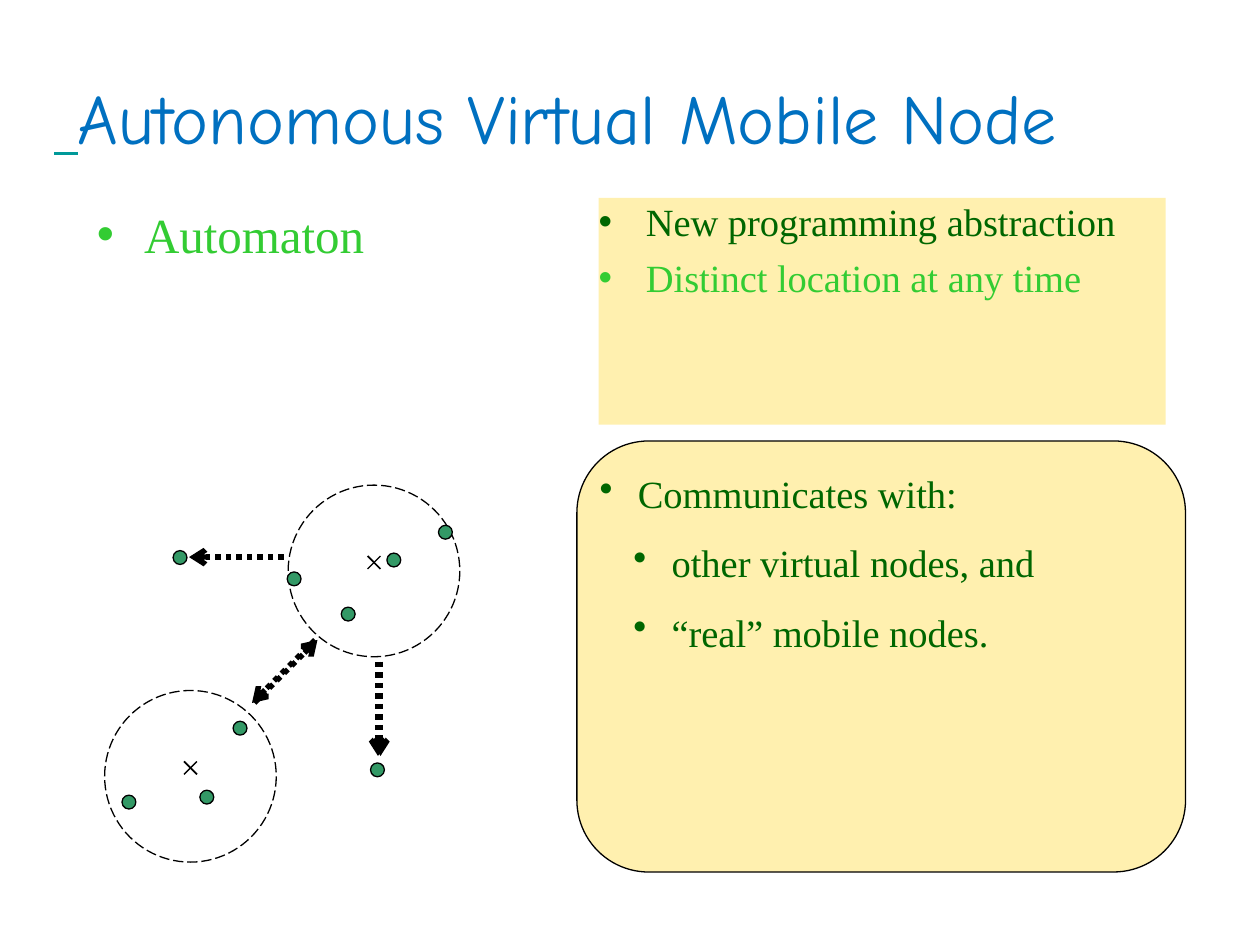
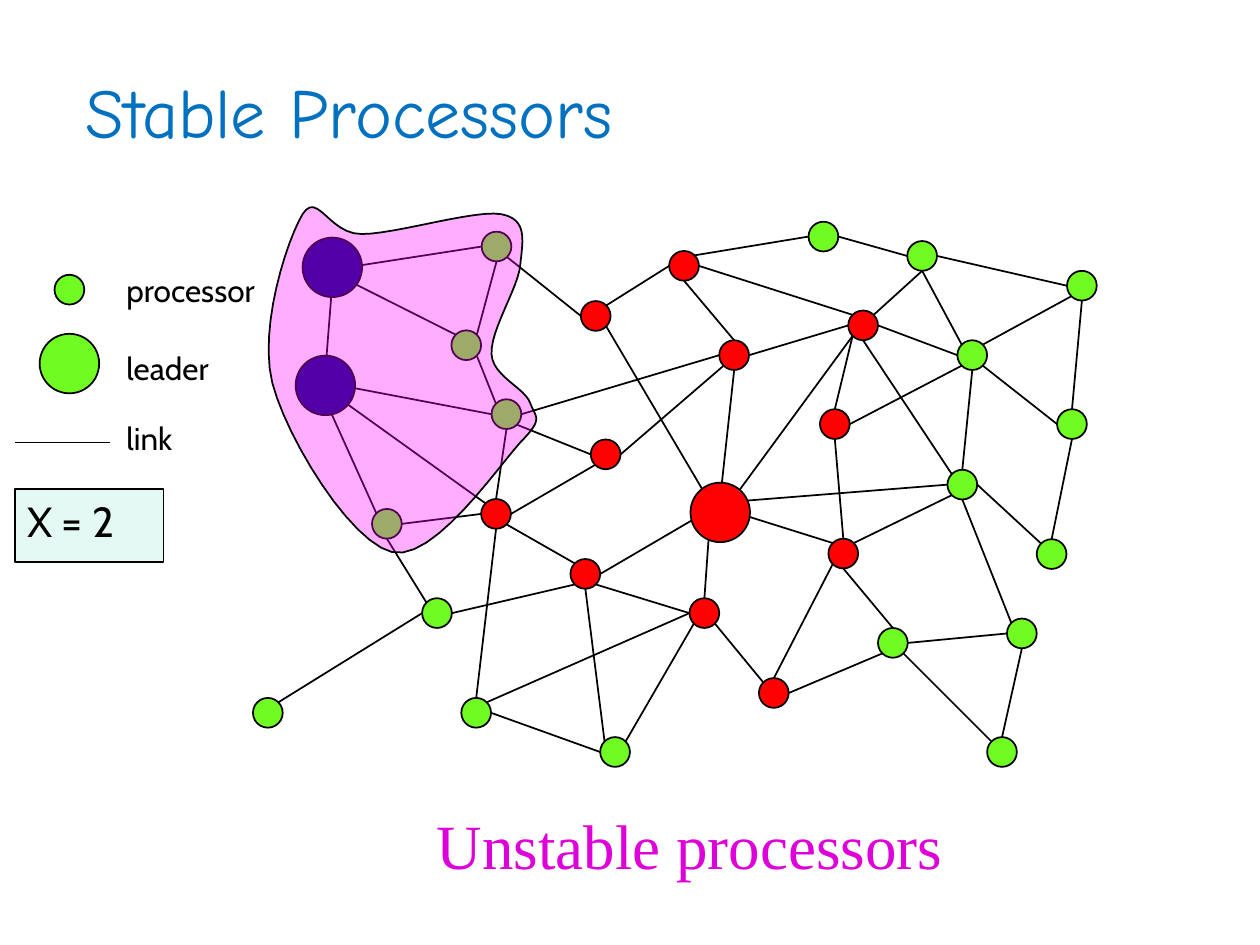
import math

import pptx
import pptx.dml.color
import pptx.enum.dml
import pptx.enum.shapes
import pptx.enum.text
import pptx.oxml.ns
import pptx.util
from lxml import etree

Cm, Pt = pptx.util.Cm, pptx.util.Pt
SHAPE = pptx.enum.shapes.MSO_SHAPE
ALIGN = pptx.enum.text.PP_ALIGN
ANCHOR = pptx.enum.text.MSO_ANCHOR
DASH = pptx.enum.dml.MSO_LINE
qn = pptx.oxml.ns.qn

SERIF, SANS, HAND = "Times New Roman", "Cabin", "Comic Neue"
BLACK, BLUE, TEAL, CREAM = "000000", "0070C0", "009999", "FFF0AF"
DARK_GREEN, BRIGHT_GREEN, NODE_GREEN = "006600", "33CC33", "339966"
LIME, RED, NAVY, PINK, MAGENTA = "70FC22", "FF0101", "000080", "FF00FF", "DE00D9"


def rgb(color):
    return pptx.dml.color.RGBColor.from_string(color)


def add_text(tf, text, size=18, font=SANS, color=BLACK, align=ALIGN.LEFT, underline=False,
             bullet=None, before=0, spacing=None, level=0, same_line=False):
    p = tf.paragraphs[-1]
    if p.runs and not same_line:
        p = tf.add_paragraph()
    if not p.runs:
        if bullet:
            pPr = p._p.get_or_add_pPr()
            left, hang = bullet
            pPr.set("marL", str(Cm(left)))
            pPr.set("indent", str(-Cm(hang)))
            etree.SubElement(pPr, qn("a:buChar")).set("char", "•")
        p.level, p.alignment = level, align
        p.space_before = Pt(before)
        if spacing:
            p.line_spacing = spacing
    r = p.add_run()
    r.text = text
    r.font.size, r.font.name, r.font.underline = Pt(size), font, underline
    r.font.color.rgb = rgb(color)


class Deck:
    """Shared style and the current slide."""

    def __init__(self):
        self.prs = pptx.Presentation()
        self.prs.slide_width, self.prs.slide_height = Cm(25.4), Cm(19.05)
        self.slide = None

    def new_slide(self, layout):
        self.slide = self.prs.slides.add_slide(self.prs.slide_layouts[layout])

    def placeholder(self, idx, x, y, w, h, anchor=ANCHOR.TOP):
        sp = self.slide.placeholders[idx]
        sp.left, sp.top, sp.width, sp.height = Cm(x), Cm(y), Cm(w), Cm(h)
        tf = sp.text_frame
        tf.word_wrap, tf.vertical_anchor = True, anchor
        tf.auto_size = pptx.enum.text.MSO_AUTO_SIZE.NONE
        return sp

    def title(self, text, x, y, w, lead=None):
        tf = self.placeholder(0, x, y, w, 3.18, ANCHOR.MIDDLE).text_frame
        if lead:
            add_text(tf, lead, size=40, font=HAND, color=TEAL, underline=True)
        add_text(tf, text, size=40, font=HAND, color=BLUE, same_line=True)

    def style(self, sp, fill, width, dash=None, alpha=None):
        sp.shadow.inherit = False
        if fill:
            sp.fill.solid()
            sp.fill.fore_color.rgb = rgb(fill)
        else:
            sp.fill.background()
        if alpha:
            color = sp._element.spPr.find(qn("a:solidFill"))[0]
            etree.SubElement(color, qn("a:alpha")).set("val", str(alpha * 1000))
        sp.line.color.rgb = rgb(BLACK)
        sp.line.width = Pt(width)
        if dash:
            sp.line.dash_style = dash

    def shape(self, kind, x, y, w, h, fill=None, width=1, dash=None, alpha=None):
        sp = self.slide.shapes.add_shape(kind, Cm(x), Cm(y), Cm(w), Cm(h))
        self.style(sp, fill, width, dash, alpha)
        return sp

    def circle(self, center, radius, fill=None, width=1, dash=None):
        x, y = center
        self.shape(SHAPE.OVAL, x - radius, y - radius, 2 * radius, 2 * radius, fill, width, dash)

    def textbox(self, x, y, w, h):
        tf = self.slide.shapes.add_textbox(Cm(x), Cm(y), Cm(w), Cm(h)).text_frame
        tf.word_wrap = True
        return tf

    def line(self, start, end, width=1, dash=None, arrow=False):
        ends = [Cm(v) for v in (*start, *end)]
        cx = self.slide.shapes.add_connector(pptx.enum.shapes.MSO_CONNECTOR.STRAIGHT, *ends)
        cx.line.color.rgb = rgb(BLACK)
        cx.line.width = Pt(width)
        if dash:
            cx.line.dash_style = dash
        if arrow:
            etree.SubElement(cx.line._get_or_add_ln(), qn("a:tailEnd")).set("type", "arrow")
        etree.SubElement(cx._element.spPr, qn("a:effectLst"))

    def curve(self, start, segments, fill, alpha, steps=12):
        points, p0 = [], start
        for p1, p2, p3 in segments:
            for k in range(1, steps + 1):
                t = k / steps
                u = 1 - t
                weights = (u ** 3, 3 * u * u * t, 3 * u * t * t, t ** 3)
                points.append([Cm(sum(c * v for c, v in zip(weights, axis)))
                               for axis in zip(p0, p1, p2, p3)])
            p0 = p3
        fb = self.slide.shapes.build_freeform(Cm(start[0]), Cm(start[1]))
        fb.add_line_segments(points, close=True)
        self.style(fb.convert_to_shape(), fill, 1, alpha=alpha)


REGIONS = [(7.54, 11.51), (3.84, 15.65)]
MOBILE_NODES = [(7.61, 15.52), (3.63, 11.24), (8.98, 10.73), (5.93, 11.67), (7.94, 11.29),
                (7.02, 12.38), (4.84, 14.68), (4.17, 16.07), (2.6, 16.17)]
MESSAGES = [((6.35, 12.9), (5.08, 14.17)), ((5.13, 14.17), (6.4, 12.9)),
            ((7.62, 13.34), (7.62, 15.24)), ((7.67, 13.34), (7.67, 15.24)),
            ((5.72, 11.23), (3.81, 11.23))]


def virtual_node_slide(deck):
    deck.new_slide(3)
    deck.title("Autonomous Virtual Mobile Node", 0.84, 0.76, 23.93, lead=" ")
    hanging = (0.95, 0.95)
    tf = deck.placeholder(1, 1.7, 3.99, 9.53, 4.57).text_frame
    add_text(tf, "Automaton", size=28, font=SERIF, color=BRIGHT_GREEN, bullet=hanging)

    sp = deck.placeholder(2, 12.07, 3.99, 11.43, 4.57)
    sp.fill.solid()
    sp.fill.fore_color.rgb = rgb(CREAM)
    tf = sp.text_frame
    tf.margin_left = tf.margin_right = tf.margin_top = tf.margin_bottom = 0
    add_text(tf, "New programming abstraction", size=22, font=SERIF, color=DARK_GREEN,
             bullet=hanging)
    add_text(tf, "Distinct location at any time", size=22, font=SERIF, color=BRIGHT_GREEN,
             bullet=hanging, before=5.5)

    for x, y in REGIONS:
        deck.circle((x, y), 1.73, width=0.75, dash=DASH.LONG_DASH)
        for slope, width in ((-1, 0.75), (1, 1)):
            dx, dy, mid = 0.13, 0.13 * slope, y - 0.17
            deck.line((x - dx, mid - dy), (x + dx, mid + dy), width)
    for center in MOBILE_NODES:
        deck.circle(center, 0.14, NODE_GREEN, 0.75)
    for start, end in MESSAGES:
        deck.line(start, end, 3, DASH.ROUND_DOT, arrow=True)

    deck.shape(SHAPE.ROUNDED_RECTANGLE, 11.63, 8.89, 12.27, 8.69, CREAM, 0.75)
    tf = deck.textbox(11.84, 8.89, 12.27, 8.69)
    for text, level in (("Communicates with:", 0), ("other virtual nodes, and", 1),
                        ("“real” mobile nodes.", 1)):
        add_text(tf, text, size=22, font=SERIF, color=DARK_GREEN, level=level, spacing=1.5,
                 bullet=(0.77 + 0.68 * level, 0.77))


GREEN_NODES = {
    "d": (9.4, 6.96), "e": (10.01, 4.97), "f": (10.21, 8.35), "g": (7.8, 10.56),
    "h": (5.4, 14.37), "i": (9.6, 14.37), "j": (8.81, 12.36), "k": (12.4, 15.16),
    "l": (16.6, 4.77), "m": (18.59, 5.16), "n": (21.81, 5.76), "o": (21.61, 8.55),
    "p": (18, 12.96), "q": (19.4, 9.77), "r": (19.6, 7.16), "s": (21.2, 11.17),
    "t": (20.6, 12.77), "u": (20.2, 15.16)}
RED_NODES = {
    "v": (12.01, 6.37), "w": (12.21, 9.16), "x": (14.8, 7.16), "y": (17.4, 6.56),
    "z": (16.83, 8.55), "A": (17, 11.16), "B": (14.2, 12.36), "D": (11.8, 11.57),
    "E": (10, 10.36), "F": (13.79, 5.36), "G": (15.6, 13.97)}
LEADERS = {"a": (6.7, 5.39), "b": (6.56, 7.77), "c": (14.52, 10.33)}
NODES = {**GREEN_NODES, **RED_NODES, **LEADERS}
NODE_R, LEADER_R = 0.3, 0.6
LINKS = """
m6-n2 m2-l6 n4-o0 n3-r7 m4-r1 m4-y7 o4-s0 o2-r5 r4-q0 y6-r2 y4-q1 y3-z0 y1-F6 l2-F7 z6-r3
q4-t1 q6-s1 t4-u0 x0-F4 x6-y2 x4-c0 c6-A1 A7-q3 z4-A0 c7-q2 A4-p0 p5-u1 A3-G0 G1-B5 c3-B0
c1-v5 x3-w6 v7-F2 y3-c7 B3-k7 e5-v2 e4-d7 d5-f1 f5-w2 f6-x2 a6-e2 a5-d1 a4-b0 b6-f2 b4-g1
g6-E2 b5-E1 E0-f4 E6-w3 E5-D1 D6-c2 j1-g4 h7-j2 j6-D3 E4-i0 i6-k2 D5-B2 D4-k1 G6-p3 p6-t2
i7-B2"""
STABLE_START = (6.1, 4.32)
STABLE_CURVES = [
    ((6.4, 3.84), (6.63, 4.72), (7.29, 4.72)),
    ((7.98, 4.72), (9.58, 4.22), (10.11, 4.32)),
    ((10.64, 4.42), (10.54, 4.85), (10.49, 5.33)),
    ((10.46, 5.79), (9.88, 6.65), (9.91, 7.14)),
    ((9.93, 7.59), (10.59, 7.82), (10.69, 8.13)),
    ((10.8, 8.43), (10.97, 8.43), (10.49, 8.92)),
    ((10.03, 9.42), (8.74, 11.33), (7.9, 11.13)),
    ((7.06, 10.92), (5.79, 8.86), (5.49, 7.72)),
    ((5.21, 6.6), (5.79, 4.83), STABLE_START)]


def link_end(code):
    name, site = code
    x, y = NODES[name]
    angle = int(site) * math.pi / 4
    return x - NODE_R * math.sin(angle), y - NODE_R * math.cos(angle)


def stable_processors_slide(deck):
    deck.new_slide(5)
    deck.title("Stable Processors", 1.47, 0.64, 21.59)
    for center in GREEN_NODES.values():
        deck.circle(center, NODE_R, LIME)
    for link in LINKS.split():
        start, end = link.split("-")
        deck.line(link_end(start), link_end(end))

    deck.circle((1.4, 5.84), NODE_R, LIME)
    deck.circle((1.4, 7.33), LEADER_R, LIME)
    deck.line((0.3, 8.92), (2.21, 8.92))
    for label, top in (("processor", 5.33), ("leader", 6.91), ("link", 8.33)):
        add_text(deck.textbox(2.3, top, 3.99, 1.02), label)
    sp = deck.shape(SHAPE.RECTANGLE, 0.3, 9.86, 3, 1.47, "00CC99", alpha=10)
    sp.text_frame.vertical_anchor = ANCHOR.TOP
    add_text(sp.text_frame, "X = 2", size=24)

    for center in RED_NODES.values():
        deck.circle(center, NODE_R, RED)
    for name, center in LEADERS.items():
        deck.circle(center, LEADER_R, RED if name == "c" else NAVY)
    add_text(deck.textbox(4.9, 16.13, 18.01, 1.78), "Unstable processors", size=36,
             font=SERIF, color=MAGENTA, align=ALIGN.CENTER)
    deck.curve(STABLE_START, STABLE_CURVES, PINK, alpha=32)


def main():
    deck = Deck()
    virtual_node_slide(deck)
    stable_processors_slide(deck)
    deck.prs.save("out.pptx")


if __name__ == "__main__":
    main()
